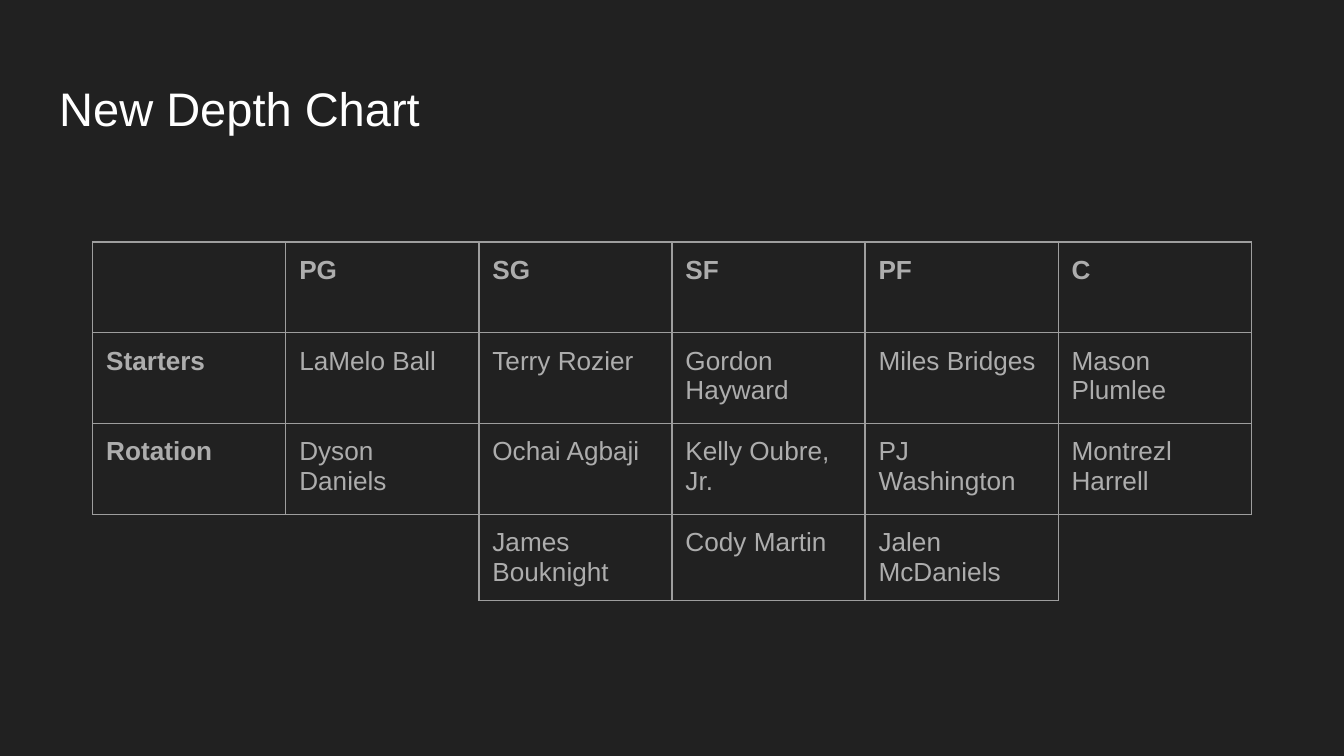
from dataclasses import dataclass

from lxml.etree import SubElement
from pptx import Presentation
from pptx.dml.color import RGBColor
from pptx.enum.text import MSO_ANCHOR as Anchor, PP_ALIGN as Align
from pptx.oxml.ns import qn
from pptx.util import Inches, Pt


@dataclass(frozen=True)
class Theme:
    """Colours, font and type sizes."""
    background: str = "212121"
    title: str = "FFFFFF"
    text: str = "ADADAD"
    border: str = "9E9E9E"
    font: str = "Arial"
    title_size: float = 25.2
    cell_size: float = 14
    border_width: float = 0.75


@dataclass(frozen=True)
class Grid:
    """A table's place, row height and wording."""
    left: float
    top: float
    row_height: float
    rows: tuple[tuple[str, ...], ...]
    headed: bool


THEME = Theme()
INSET = Inches(0.1)
LEFT, TOP = 0.69, 1.8
COLUMN = 8.62 / 6

DEPTH = Grid(LEFT, TOP, 2.03 / 3, (
    ("", "PG", "SG", "SF", "PF", "C"),
    ("Starters", "LaMelo Ball", "Terry Rozier", "Gordon Hayward",
     "Miles Bridges", "Mason Plumlee"),
    ("Rotation", "Dyson Daniels", "Ochai Agbaji", "Kelly Oubre, Jr.",
     "PJ Washington", "Montrezl Harrell"),
), True)
RESERVES = Grid(LEFT + 2 * COLUMN, TOP + 3 * DEPTH.row_height, 0.63, (
    ("James Bouknight", "Cody Martin", "Jalen McDaniels"),
), False)


def set_insets(box) -> None:
    """Give a cell or text frame equal insets."""
    box.margin_left = box.margin_right = INSET
    box.margin_top = box.margin_bottom = INSET


def add_text(p, text: str, size: float, color: str, bold: bool = False) -> None:
    """Add one formatted run to a paragraph."""
    r = p.add_run()
    r.text = text
    r.font.name = THEME.font
    r.font.size = Pt(size)
    r.font.bold = bold
    r.font.color.rgb = RGBColor.from_string(color)


def add_borders(cell) -> None:
    """Draw a thin line on each side of a cell."""
    props = cell._tc.get_or_add_tcPr()
    for side in ("a:lnL", "a:lnR", "a:lnT", "a:lnB"):
        line = SubElement(props, qn(side), w=str(Pt(THEME.border_width)))
        fill = SubElement(line, qn("a:solidFill"))
        SubElement(fill, qn("a:srgbClr"), val=THEME.border)


def draw_title(s, text: str) -> None:
    """Place and format the slide title."""
    sp = s.shapes.title
    sp.left, sp.top = Inches(0.34), Inches(0.49)
    sp.width, sp.height = Inches(9.32), Inches(0.63)
    tf = sp.text_frame
    set_insets(tf)
    tf.vertical_anchor = Anchor.TOP
    p = tf.paragraphs[0]
    p.alignment = Align.LEFT
    p.line_spacing = 1.0
    add_text(p, text, THEME.title_size, THEME.title)


def draw_grid(s, grid: Grid) -> None:
    """Draw a bordered table with bold headings where it has them."""
    count = len(grid.rows[0])
    table = s.shapes.add_table(
        len(grid.rows), count, Inches(grid.left), Inches(grid.top),
        Inches(count * COLUMN), Inches(grid.row_height * len(grid.rows))).table
    table.first_row = table.horz_banding = False
    for column in table.columns:
        column.width = Inches(COLUMN)
    for i, words in enumerate(grid.rows):
        table.rows[i].height = Inches(grid.row_height)
        for j, text in enumerate(words):
            cell = table.cell(i, j)
            set_insets(cell)
            add_borders(cell)
            cell.fill.background()
            if text:
                bold = grid.headed and (i == 0 or j == 0)
                add_text(cell.text_frame.paragraphs[0], text,
                         THEME.cell_size, THEME.text, bold)


def main() -> None:
    """Build and save the slide."""
    prs = Presentation()
    prs.slide_width = Inches(10)
    prs.slide_height = prs.slide_width * 9 // 16
    s = prs.slides.add_slide(prs.slide_layouts[5])
    s.background.fill.solid()
    s.background.fill.fore_color.rgb = RGBColor.from_string(THEME.background)
    draw_title(s, "New Depth Chart")
    for grid in (DEPTH, RESERVES):
        draw_grid(s, grid)
    prs.save("out.pptx")


if __name__ == "__main__":
    main()
